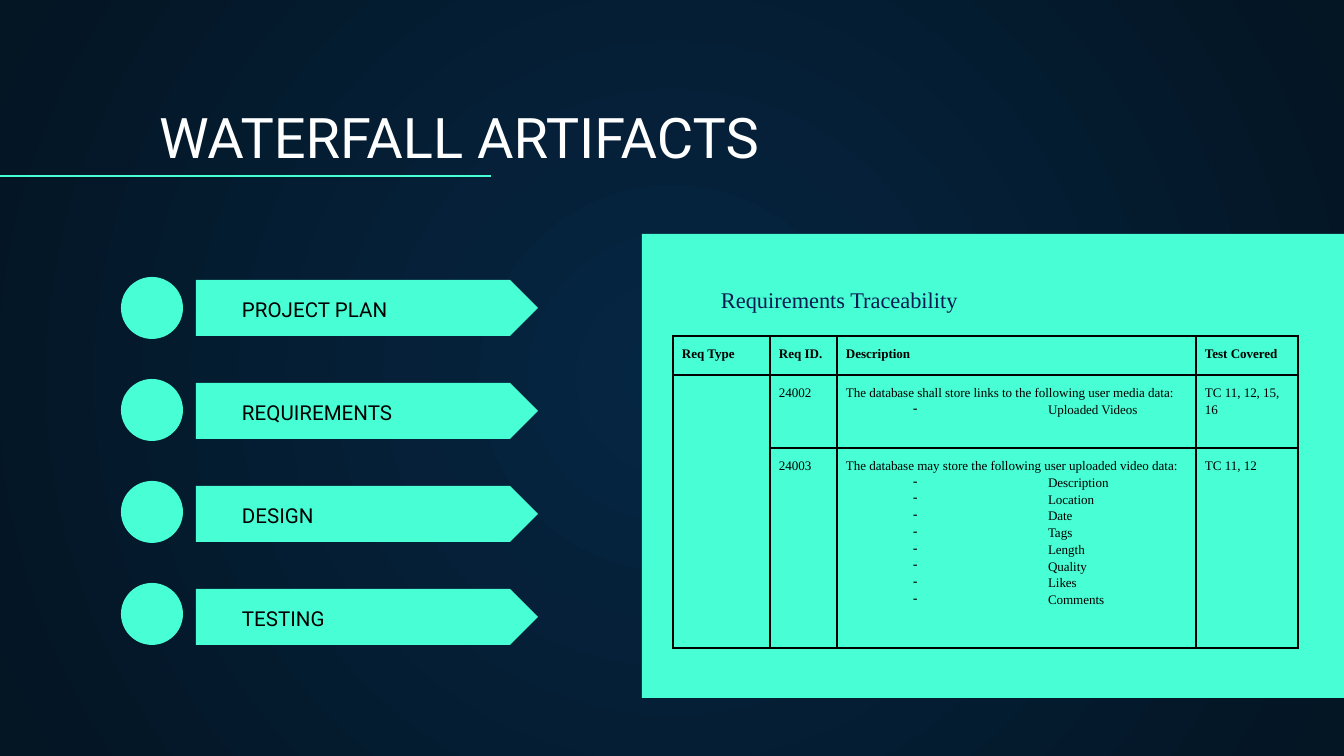
from lxml.etree import SubElement
from pptx import Presentation
from pptx.dml.color import RGBColor
from pptx.enum.shapes import MSO_CONNECTOR, MSO_SHAPE
from pptx.enum.text import MSO_ANCHOR, PP_ALIGN
from pptx.oxml.ns import qn
from pptx.util import Emu, Pt

AQUA = RGBColor(0x48, 0xFF, 0xD5)
WHITE = RGBColor(0xFF, 0xFF, 0xFF)
BLACK = RGBColor(0, 0, 0)
INDIGO = RGBColor(0x09, 0x1A, 0x51)
NAVY = RGBColor(0x05, 0x26, 0x43)
MIDNIGHT = RGBColor(0x04, 0x15, 0x23)

ARTIFACTS = ["PROJECT PLAN", "REQUIREMENTS", "DESIGN", "TESTING"]
COLUMN_WIDTHS = [97, 67, 359, 102]
ROW_HEIGHTS = [39, 73, 200]
HEADINGS = ["Req Type", "Req ID.", "Description", "Test Covered"]
REQUIREMENTS = [
    ("24002", "The database shall store links to the following user media data:",
     ["Uploaded Videos"], "TC 11, 12, 15, 16"),
    ("24003", "The database may store the following user uploaded video data:",
     ["Description", "Location", "Date", "Tags", "Length", "Quality", "Likes", "Comments"],
     "TC 11, 12"),
]


def px(count):
    return Emu(round(count * 914400 / 134.4))


def set_attributes(target, formats):
    for name, value in formats.items():
        setattr(target, name, value)


def write(paragraph, text, color, formats):
    run = paragraph.add_run()
    run.text = text
    set_attributes(run.font, formats)
    run.font.color.rgb = color


def paint_background(slide):
    fill = slide.background.fill
    fill.gradient()
    for stop, color in zip(fill.gradient_stops, (NAVY, MIDNIGHT)):
        stop.color.rgb = color
    gradient = slide.background._cSld.find(".//" + qn("a:gradFill"))
    gradient.remove(gradient.find(qn("a:lin")))
    circle = SubElement(gradient, qn("a:path"), path="circle")
    SubElement(circle, qn("a:fillToRect"), l="50000", t="50000", r="50000", b="50000")


def add_block(slide, preset, left, top, width, height):
    block = slide.shapes.add_shape(preset, px(left), px(top), px(width), px(height))
    block.shadow.inherit = False
    block.fill.solid()
    block.fill.fore_color.rgb = AQUA
    block.line.fill.background()
    return block


def add_label(slide, text, left, top, width, height, size, color):
    frame = slide.shapes.add_textbox(px(left), px(top), px(width), px(height)).text_frame
    set_attributes(frame, {
        "word_wrap": True, "vertical_anchor": MSO_ANCHOR.BOTTOM,
        "margin_left": px(13), "margin_right": px(13),
        "margin_top": px(13), "margin_bottom": px(13),
    })
    write(frame.paragraphs[0], text, color, {"size": Pt(size), "name": "Roboto"})


def add_title_rule(slide):
    rule = slide.shapes.add_connector(MSO_CONNECTOR.STRAIGHT, px(0), px(176), px(491), px(176))
    rule.line.color.rgb = AQUA
    rule.line.width = Pt(0.75)
    SubElement(rule._element.spPr, qn("a:effectLst"))


def add_artifact(slide, position, name):
    top = 280 + position * 103
    add_block(slide, MSO_SHAPE.PENTAGON, 196, top, 342, 56)
    add_block(slide, MSO_SHAPE.OVAL, 121, 277 + position * 102, 62, 62)
    add_label(slide, name, 229, top + 26, 305, 28, 11, BLACK)


def add_panel(slide):
    panel = add_block(slide, MSO_SHAPE.RECTANGLE, 642, 234, 753, 464)
    frame = panel.text_frame
    set_attributes(frame, {
        "word_wrap": True, "vertical_anchor": MSO_ANCHOR.TOP,
        "margin_left": px(79), "margin_right": px(159),
        "margin_top": px(52), "margin_bottom": px(52),
    })
    heading = frame.paragraphs[0]
    heading.alignment = PP_ALIGN.LEFT
    write(heading, "Requirements Traceability", INDIGO,
          {"size": Pt(12), "name": "Times New Roman"})


def format_cell(cell):
    set_attributes(cell, {
        "margin_left": px(9), "margin_right": px(9),
        "margin_top": px(9), "margin_bottom": px(9),
    })
    properties = cell._tc.get_or_add_tcPr()
    for side in ("lnL", "lnR", "lnT", "lnB"):
        border = SubElement(properties, qn("a:" + side), w=str(Pt(1)))
        ink = SubElement(border, qn("a:solidFill"))
        SubElement(ink, qn("a:srgbClr"), val=str(BLACK))
    cell.fill.background()


def fill_cell(cell, text, items=(), bold=False):
    frame = cell.text_frame
    formats = {"size": Pt(7), "name": "Times New Roman", "bold": bold}
    statement = frame.paragraphs[0]
    statement.line_spacing = 1.15
    write(statement, text, BLACK, formats)
    for item in items:
        bullet = frame.add_paragraph()
        properties = bullet._p.get_or_add_pPr()
        properties.set("marL", str(px(202)))
        properties.set("indent", str(-px(135)))
        SubElement(properties, qn("a:buChar"), char="-")
        bullet.line_spacing = 1.15
        write(bullet, item, BLACK, formats)


def add_traceability_table(slide):
    table = slide.shapes.add_table(
        len(ROW_HEIGHTS), len(COLUMN_WIDTHS), px(673), px(336),
        px(sum(COLUMN_WIDTHS)), px(sum(ROW_HEIGHTS))).table
    set_attributes(table, {"first_row": False, "horz_banding": False})
    for column, width in zip(table.columns, COLUMN_WIDTHS):
        column.width = px(width)
    for row, height in zip(table.rows, ROW_HEIGHTS):
        row.height = px(height)
    for cell in table.iter_cells():
        format_cell(cell)
    table.cell(1, 0).merge(table.cell(2, 0))
    for column, heading in enumerate(HEADINGS):
        fill_cell(table.cell(0, column), heading, bold=True)
    for row, (identifier, statement, items, tests) in enumerate(REQUIREMENTS, 1):
        fill_cell(table.cell(row, 1), identifier)
        fill_cell(table.cell(row, 2), statement, items)
        fill_cell(table.cell(row, 3), tests)


def main():
    presentation = Presentation()
    set_attributes(presentation, {"slide_width": px(1344), "slide_height": px(756)})
    slide = presentation.slides.add_slide(presentation.slide_layouts[6])
    paint_background(slide)
    add_label(slide, "WATERFALL ARTIFACTS", 146, 94, 1152, 89, 30, WHITE)
    add_title_rule(slide)
    for position, name in enumerate(ARTIFACTS):
        add_artifact(slide, position, name)
    add_panel(slide)
    add_traceability_table(slide)
    presentation.save("out.pptx")


if __name__ == "__main__":
    main()
